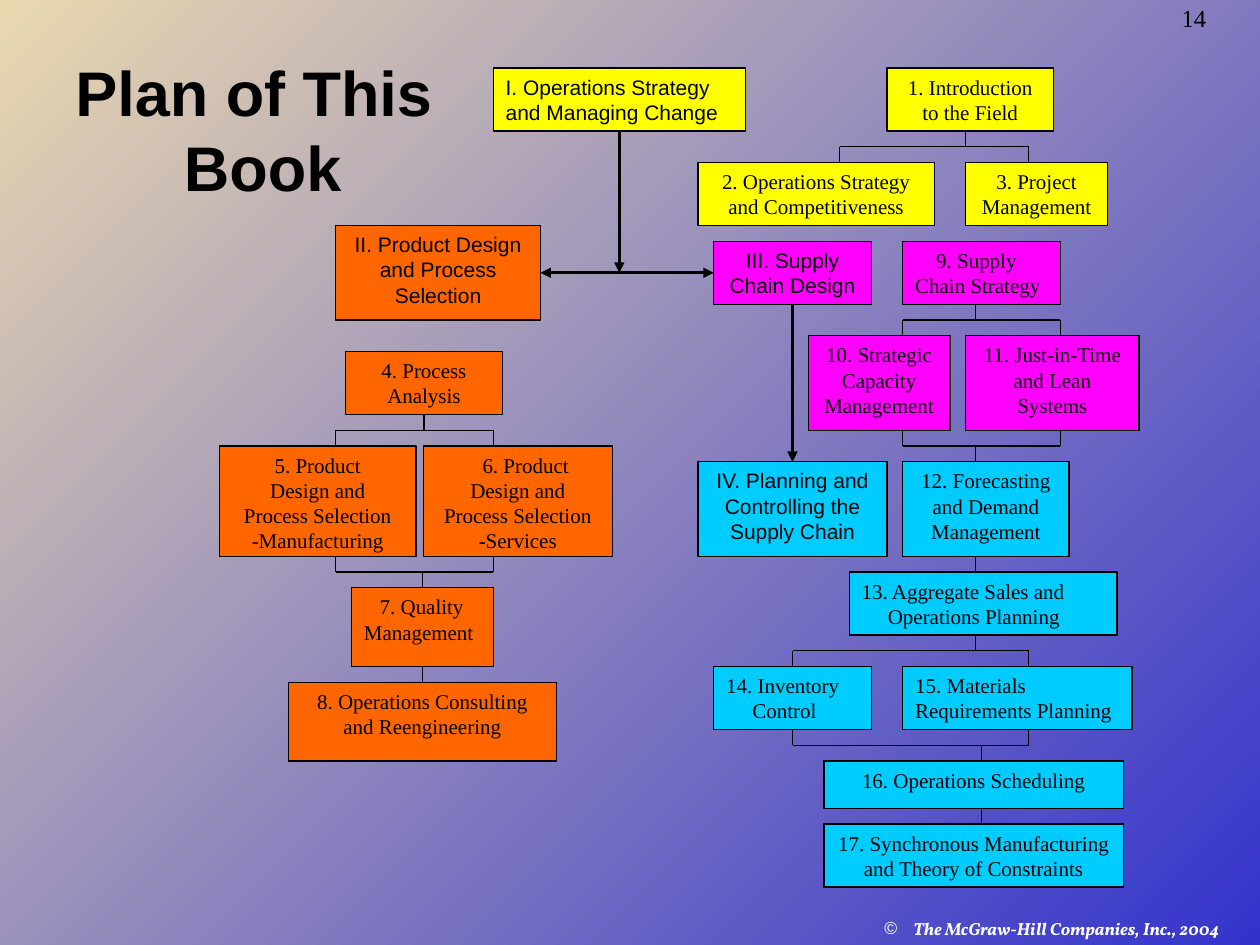
from pptx import Presentation
from pptx.dml.color import RGBColor
from pptx.enum.shapes import MSO_CONNECTOR as Connector, MSO_SHAPE as Shape
from pptx.enum.text import MSO_ANCHOR as Anchor, MSO_AUTO_SIZE as AutoSize, PP_ALIGN as Align
from pptx.oxml.ns import qn
from pptx.oxml.xmlchemy import OxmlElement
from pptx.util import Inches, Pt

BLACK = RGBColor(0x00, 0x00, 0x00)
WHITE = RGBColor(0xFF, 0xFF, 0xFF)
BLUE = RGBColor(0x33, 0x33, 0xCC)
SAND = RGBColor(0xE9, 0xD8, 0xAF)
YELLOW = RGBColor(0xFF, 0xFF, 0x00)
MAGENTA = RGBColor(0xFF, 0x00, 0xFF)
CYAN = RGBColor(0x00, 0xCC, 0xFF)
ORANGE = RGBColor(0xFF, 0x66, 0x00)

SANS, SERIF, FOOTER = "Arial", "Times New Roman", "Vollkorn"
CELL = Inches(0.125)
MARGIN = Inches(0.04)
TOP, LEFT, BOTTOM, RIGHT = range(4)


def grid(steps):
    """Distance from the slide's edge to a grid line."""
    return round(MARGIN + steps * CELL)


def write(frame, text, font=SERIF, size=12, color=BLACK, bold=False, italic=False,
          align=Align.LEFT, anchor=Anchor.TOP, wrap=True, indents=()):
    """Fill a text frame; indents gives a left indent in points per paragraph."""
    frame.word_wrap = wrap
    frame.auto_size = AutoSize.NONE
    frame.vertical_anchor = anchor
    frame.text = text
    for para in frame.paragraphs:
        para.alignment = align
        for span in para.runs:
            span.font.name = font
            span.font.size = Pt(size)
            span.font.bold = bold
            span.font.italic = italic
            span.font.color.rgb = color
    for para, indent in zip(frame.paragraphs, indents):
        props = para._p.get_or_add_pPr()
        props.set("marL", str(Pt(indent)))
        props.set("indent", "0")


def add_bullet(para, char, color, indent):
    props = para._p.get_or_add_pPr()
    props.set("marL", str(indent))
    props.set("indent", str(-indent))
    bullet_color = OxmlElement("a:buClr")
    rgb = OxmlElement("a:srgbClr")
    rgb.set("val", str(color))
    bullet_color.append(rgb)
    bullet_font = OxmlElement("a:buFont")
    bullet_font.set("typeface", SANS)
    bullet = OxmlElement("a:buChar")
    bullet.set("char", char)
    props.extend([bullet_color, bullet_font, bullet])


class PlanSlide:
    """The slide with its chart style; boxes and lines sit on a grid of cells."""

    def __init__(self, deck):
        self.page = deck.slides.add_slide(deck.slide_layouts[5])
        self.width, self.height = deck.slide_width, deck.slide_height

    def background(self, start, end):
        fill = self.page.background.fill
        fill.gradient()
        fill.gradient_angle = 135
        for stop, color in zip(fill.gradient_stops, (start, end)):
            stop.color.rgb = color

    def place(self, left, top, width, height):
        """Turn shares of the slide into lengths."""
        return (round(left * self.width), round(top * self.height),
                round(width * self.width), round(height * self.height))

    def title(self, text, *shares):
        title = self.page.shapes.title
        title.left, title.top, title.width, title.height = self.place(*shares)
        write(title.text_frame, text, font=SANS, size=36, bold=True,
              align=Align.CENTER, anchor=Anchor.BOTTOM)

    def label(self, text, *shares, **style):
        box = self.page.shapes.add_textbox(*self.place(*shares))
        write(box.text_frame, text, **style)
        return box.text_frame.paragraphs[0]

    def box(self, text, color, col, row, cols, rows, align=Align.CENTER, **style):
        box = self.page.shapes.add_shape(
            Shape.RECTANGLE, grid(col), grid(row), round(cols * CELL), round(rows * CELL))
        box.shadow.inherit = False
        box.fill.solid()
        box.fill.fore_color.rgb = color
        box.line.color.rgb = BLACK
        box.line.width = Pt(0.75)
        write(box.text_frame, text, align=align, **style)
        return box

    def line(self, start, end, weight=0.75, arrows=()):
        """Join two ends, each a (column, row) or a (box, side)."""
        joins = [isinstance(first, (int, float)) for first, _ in (start, end)]
        points = [(grid(a), grid(b)) if free else (0, 0)
                  for (a, b), free in zip((start, end), joins)]
        line = self.page.shapes.add_connector(Connector.STRAIGHT, *points[0], *points[1])
        if not joins[0]:
            line.begin_connect(*start)
        if not joins[1]:
            line.end_connect(*end)
        line.line.color.rgb = BLACK
        line.line.width = Pt(weight)
        props = line.element.spPr
        for tag in arrows:
            arrow = OxmlElement(tag)
            arrow.set("type", "triangle")
            props.find(qn("a:ln")).append(arrow)
        props.append(OxmlElement("a:effectLst"))

    def branch(self, row, bar, above, below):
        """Draw a bar with one-row stubs; a stub is a column or a box to join."""
        self.line((bar[0], row), (bar[1], row))
        for stubs, step, side in ((above, -1, BOTTOM), (below, 1, TOP)):
            for stub in stubs:
                if isinstance(stub, (int, float)):
                    self.line((stub, row), (stub, row + step))
                else:
                    middle = (stub.left + stub.width / 2 - MARGIN) / CELL
                    self.line((middle, row), (stub, side))


def main():
    deck = Presentation()
    deck.slide_width, deck.slide_height = Inches(10), Inches(7.5)
    plan = PlanSlide(deck)
    plan.background(BLUE, SAND)

    footer = plan.label("The McGraw-Hill Companies, Inc., 2004", 0.692, 0.965, 0.308, 0.035,
                        font=FOOTER, size=10, color=WHITE, bold=True, italic=True)
    add_bullet(footer, "©", WHITE, Inches(0.23))
    number = plan.label("14", 0.928, 0, 0.101, 0.041, size=14, wrap=False)
    number.line_spacing = 0.9
    plan.title("Plan of This \vBook", 0.042, 0.056, 0.333, 0.167)

    strategy = plan.box("I. Operations Strategy and Managing Change", YELLOW,
                        31, 4, 16, 4, align=Align.LEFT, font=SANS)
    design = plan.box("II. Product Design\nand Process\nSelection", ORANGE,
                      21, 14, 13, 6, font=SANS)
    supply = plan.box("III. Supply\nChain Design", MAGENTA, 45, 15, 10, 4, font=SANS)
    planning = plan.box("IV. Planning and Controlling the Supply Chain", CYAN,
                        44, 29, 12, 6, font=SANS)

    plan.box("1. Introduction\nto the Field", YELLOW, 56, 4, 10.56, 4)
    plan.box("2. Operations Strategy and Competitiveness", YELLOW, 44, 10, 15, 4)
    plan.box("3. Project Management", YELLOW, 61, 10, 9, 4)

    analysis = plan.box("4. Process\nAnalysis", ORANGE, 21.6, 22, 10, 4)
    plan.box("5. Product\nDesign and\nProcess Selection\n-Manufacturing", ORANGE,
             13.6, 28, 12.5, 7)
    plan.box("6. Product\nDesign and\nProcess Selection\n-Services", ORANGE,
             26.56, 28, 12, 7, indents=[9])
    quality = plan.box("7. Quality\nManagement", ORANGE, 22, 37, 9, 5,
                       align=Align.LEFT, indents=[9])
    consulting = plan.box("8. Operations Consulting and Reengineering", ORANGE, 18, 43, 17, 5)

    plan.box("9. Supply\nChain Strategy", MAGENTA, 57, 15, 10, 4,
             align=Align.LEFT, indents=[12])
    plan.box("10. Strategic Capacity Management", MAGENTA, 51, 21, 9, 6)
    plan.box("11. Just-in-Time and Lean Systems", MAGENTA, 61, 21, 11, 6)

    plan.box("12. Forecasting and Demand Management", CYAN, 57, 29, 10.56, 6)
    plan.box("13. Aggregate Sales and\nOperations Planning", CYAN, 53.6, 36, 17, 4,
             align=Align.LEFT, indents=[0, 15])
    inventory = plan.box("14. Inventory\nControl", CYAN, 45, 42, 10, 4,
                         align=Align.LEFT, indents=[0, 15])
    plan.box("15. Materials Requirements Planning", CYAN, 57, 42, 14.56, 4, align=Align.LEFT)
    plan.box("16. Operations Scheduling", CYAN, 52, 48, 19, 3)
    plan.box("17. Synchronous Manufacturing and Theory of Constraints", CYAN, 52, 52, 19, 4)

    plan.branch(9, (53, 65), above=[61], below=[53, 65])
    plan.branch(20, (57, 67), above=[61.6], below=[57, 67])
    plan.branch(28, (57, 67), above=[57, 67], below=[61.6])
    plan.branch(41, (50, 65), above=[61.6], below=[inventory, 65])
    plan.branch(47, (50, 65), above=[inventory, 65], below=[62])
    plan.branch(27, (21, 31), above=[analysis], below=[21, 31])
    plan.branch(36, (21, 31), above=[21, 31], below=[quality])
    plan.line((quality, BOTTOM), (consulting, TOP))
    plan.line((61.6, 35), (61.6, 36))
    plan.line((62, 51), (62, 52))

    plan.line((design, RIGHT), (supply, LEFT), 1.5, ["a:headEnd", "a:tailEnd"])
    plan.line((strategy, BOTTOM), (39, 17), 1.5, ["a:tailEnd"])
    plan.line((supply, BOTTOM), (planning, TOP), 1.5, ["a:tailEnd"])

    deck.save("out.pptx")


if __name__ == "__main__":
    main()
